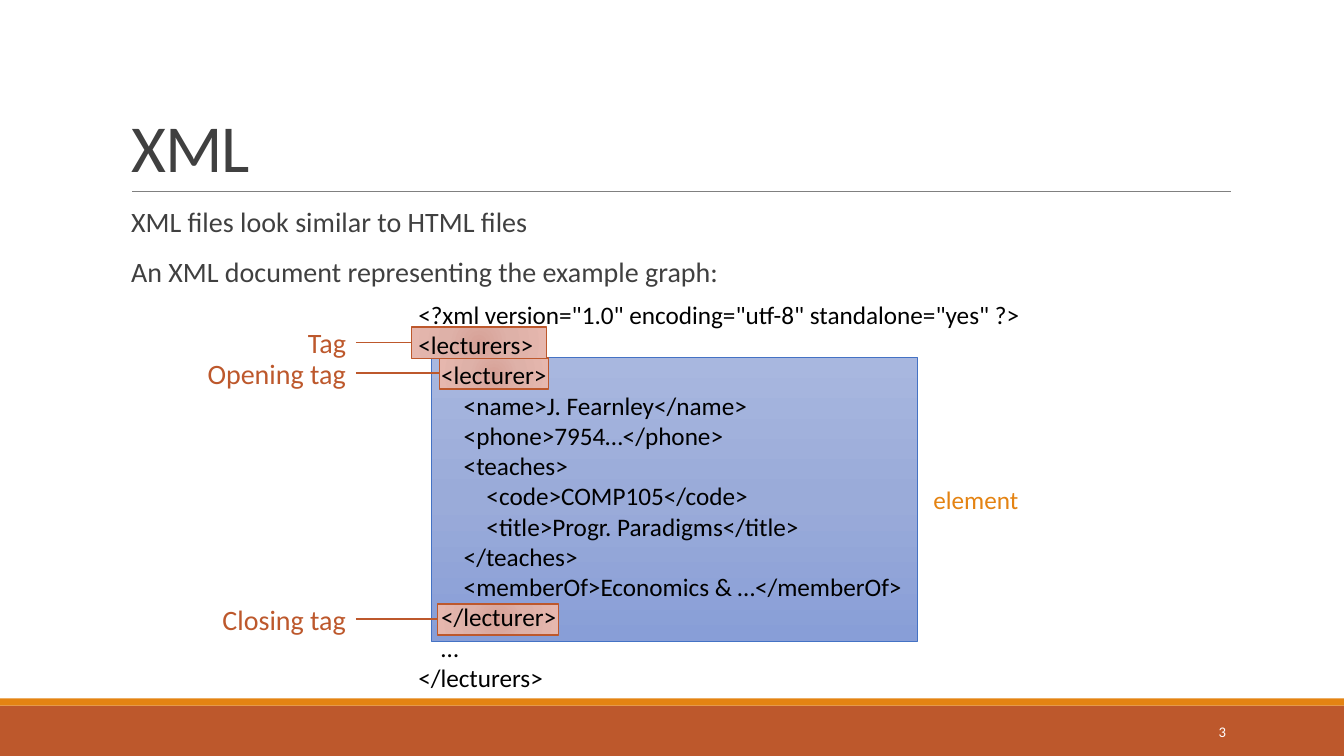
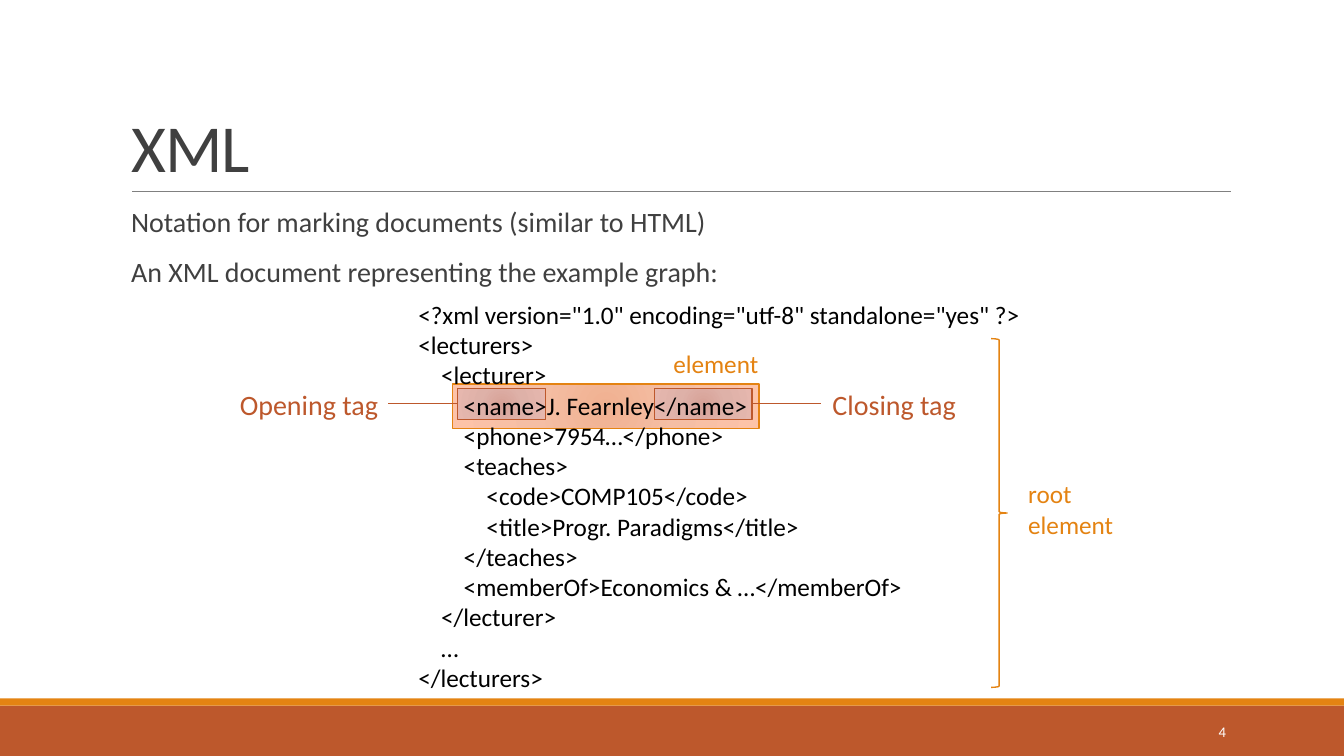
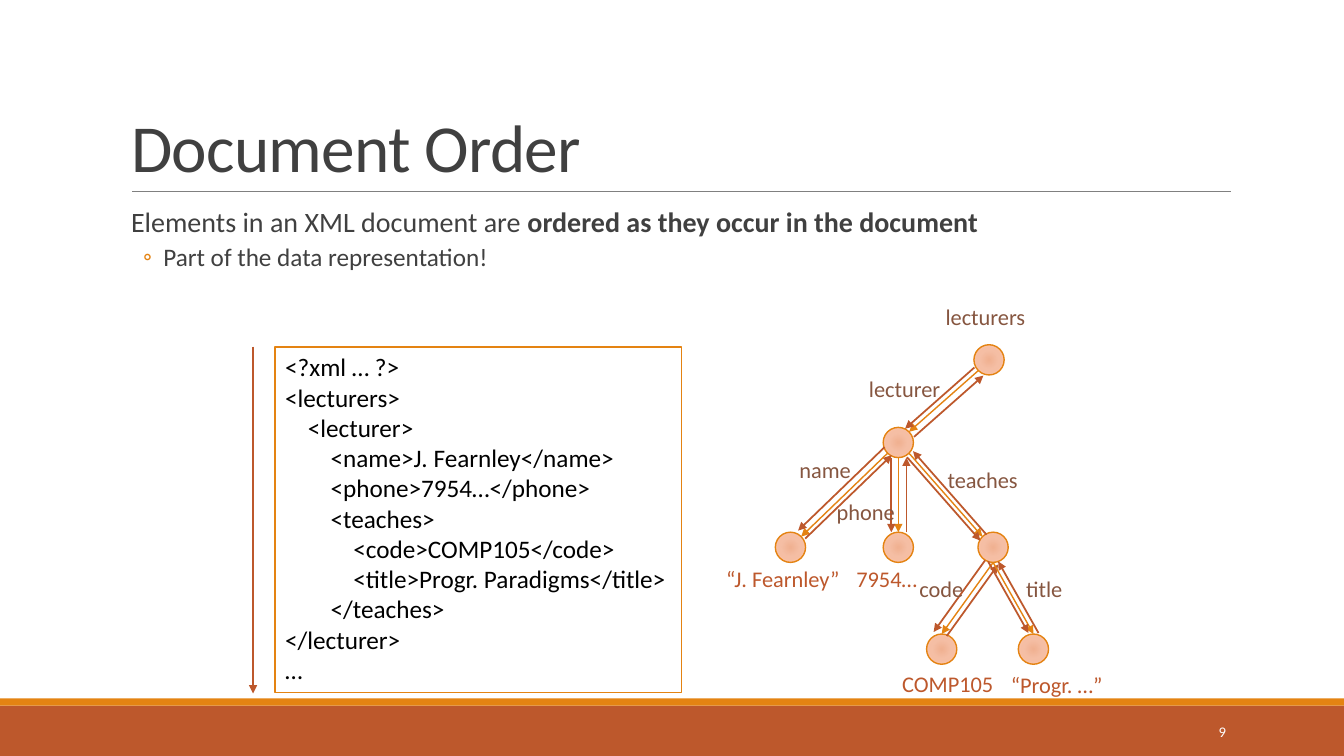
"""Build three slides on XML markup and document order."""
from math import cos, radians, sin

from lxml import etree
from pptx import Presentation
from pptx.dml.color import RGBColor
from pptx.enum.shapes import MSO_CONNECTOR, MSO_SHAPE
from pptx.enum.text import MSO_ANCHOR, MSO_AUTO_SIZE, PP_ALIGN
from pptx.oxml.ns import qn
from pptx.util import Inches, Pt

LEFT, MID, RIGHT = PP_ALIGN.LEFT, PP_ALIGN.CENTER, PP_ALIGN.RIGHT
RECT, OVAL, BRACE = MSO_SHAPE.RECTANGLE, MSO_SHAPE.OVAL, MSO_SHAPE.RIGHT_BRACE
LINE = MSO_CONNECTOR.STRAIGHT
FIT, FIXED = MSO_AUTO_SIZE.SHAPE_TO_FIT_TEXT, MSO_AUTO_SIZE.NONE
BOTTOM, CENTER = MSO_ANCHOR.BOTTOM, MSO_ANCHOR.MIDDLE

FONT = "Calibri"
INK = {
    "rust": "BD582C", "gold": "E48312", "rule": "808080", "dark": "404040",
    "brown": "865640", "blue": "4472C4", "white": "FFFFFF", "black": "000000",
}
FADE = {
    "rust": ((0, "D7A197"), (45, "DEB1A8"), (100, "E6B7AE")),
    "gold": ((0, "F0B191"), (45, "F5BEA4"), (100, "FDC3A8")),
    "blue": ((0, "A8B7DF"), (50, "9AABD9"), (100, "889ED7")),
}
ROW = 0.305
CODE = (4.05, 2.92)
RECORD = [
    "    <lecturer>",
    "        <name>J. Fearnley</name>",
    "        <phone>7954…</phone>",
    "        <teaches>",
    "            <code>COMP105</code>",
    "            <title>Progr. Paradigms</title>",
    "        </teaches>",
]
FULL = [
    '<?xml version="1.0" encoding="utf-8" standalone="yes" ?>',
    "<lecturers>",
    *RECORD,
    "        <memberOf>Economics & …</memberOf>",
    "    </lecturer>",
    "    …",
    "</lecturers>",
]
SHORT = ["<?xml … ?>", "<lecturers>", *RECORD, "</lecturer>", "…"]

NODES = {
    "root": (2.71, 0.61), "person": (1.81, 1.43), "name": (0.74, 2.47),
    "phone": (1.81, 2.47), "teaches": (2.75, 2.47),
    "code": (2.24, 3.48), "title": (3.15, 3.48),
}
EDGES = [
    ("root", "person", 135, (-0.04, -0.03), (0.05, 0.05)),
    ("person", "name", 135, (-0.03, -0.06), (0.04, 0.02)),
    ("person", "phone", 90, (-0.07, 0), (0.08, 0)),
    ("person", "teaches", 45, (-0.02, 0.04), (0.04, -0.02)),
    ("teaches", "code", 90, (-0.08, -0.02), (0.05, 0.02)),
    ("teaches", "title", 90, (-0.05, -0.01), (0.05, -0.01)),
]
NAMES = [
    ("lecturers", 2.18, 0, 1), ("lecturer", 1.42, 0.71, 0.92),
    ("name", 0.73, 1.52, 0.72), ("phone", 1.1, 1.93, 0.79),
    ("teaches", 2.2, 1.62, 0.91), ("code", 1.92, 2.7, 0.64),
    ("title", 2.98, 2.7, 0.57),
]
VALUES = [
    ("7954…", 1.28, 2.6, 0.83), ("“J. Fearnley”", 0, 2.6, 1.33),
    ("COMP105", 1.74, 3.64, 1.12), ("“Progr. …”", 2.82, 3.65, 1.12),
]


def rgb(name):
    """Look up a palette colour."""
    return RGBColor.from_string(INK[name])


def write(para, words, size, color, bold=False):
    """Add one run to a paragraph."""
    run = para.add_run()
    run.text = words
    font = run.font
    font.name, font.size, font.bold = FONT, Pt(size), bold
    font.color.rgb = rgb(color)
    return run


def text(slide, box, lines, size, color, align=LEFT):
    """Add an unwrapped text box with one paragraph a line."""
    shape = slide.shapes.add_textbox(*map(Inches, box))
    frame = shape.text_frame
    frame.word_wrap = False
    frame.auto_size = FIT
    for i, words in enumerate(lines):
        para = frame.add_paragraph() if i else frame.paragraphs[0]
        para.alignment = align
        write(para, words, size, color)
    return shape


def draw(slide, kind, box, fill=None, line=None, width=1):
    """Add a preset shape with a plain fill or none."""
    shape = slide.shapes.add_shape(kind, *map(Inches, box))
    shape.shadow.inherit = False
    if fill:
        shape.fill.solid()
        shape.fill.fore_color.rgb = rgb(fill)
    else:
        shape.fill.background()
    if line:
        shape.line.color.rgb = rgb(line)
        shape.line.width = Pt(width)
    else:
        shape.line.fill.background()
    return shape


def fade(slide, kind, box, color, width=1):
    """Add a shape filled with one of the gradients."""
    shape = draw(slide, kind, box, None, color, width)
    shape.fill.gradient()
    grad = shape._element.spPr.find(qn("a:gradFill"))
    for child in list(grad):
        grad.remove(child)
    stops = etree.SubElement(grad, qn("a:gsLst"))
    for pos, tint in FADE[color]:
        stop = etree.SubElement(stops, qn("a:gs"), pos=str(pos * 1000))
        etree.SubElement(stop, qn("a:srgbClr"), val=tint)
    if color == "blue":
        etree.SubElement(grad, qn("a:lin"), ang="5400000", scaled="0")
    else:
        way = etree.SubElement(grad, qn("a:path"), path="circle")
        sides = dict.fromkeys("ltrb", "100000")
        etree.SubElement(way, qn("a:fillToRect"), **sides)
    return shape


def link(slide, start, end, color="rust", width=1, arrow=False):
    """Add a straight line, with an arrowhead at its end if asked."""
    line = slide.shapes.add_connector(LINE, *map(Inches, (*start, *end)))
    line.line.color.rgb = rgb(color)
    line.line.width = Pt(width)
    if arrow:
        etree.SubElement(line.line._get_or_add_ln(), qn("a:tailEnd"), type="triangle")
    etree.SubElement(line._element.spPr, qn("a:effectLst"))


def base(deck, title, page):
    """Start a slide with its bands, rule, title and page number."""
    slide = deck.slides.add_slide(deck.slide_layouts[5])
    draw(slide, RECT, (0, 7, 13.33, 0.5), "rust")
    draw(slide, RECT, (0, 6.93, 13.33, 0.07), "gold")
    link(slide, (1.31, 1.9), (12.21, 1.9), "rule", 0.5)
    head = slide.shapes.title
    head.left, head.top, head.width, head.height = map(Inches, (1.2, 0.31, 11, 1.59))
    frame = head.text_frame
    frame.vertical_anchor = BOTTOM
    frame.auto_size = FIXED
    para = frame.paragraphs[0]
    para.alignment = LEFT
    para.line_spacing = 0.85
    run = write(para, title, 48, "dark")
    run.font._element.set("spc", "-50")
    num = text(slide, (10.83, 7.06, 1.43, 0.4), [str(page)], 10.5, "white", RIGHT)
    num.text_frame.word_wrap = True
    num.text_frame.auto_size = FIXED
    num.text_frame.vertical_anchor = CENTER
    return slide


def body(slide, box, paras):
    """Add the body text, given as (level, runs) pairs."""
    frame = slide.shapes.add_textbox(*map(Inches, box)).text_frame
    frame.word_wrap = True
    frame.margin_left = frame.margin_right = 0
    for i, (level, runs) in enumerate(paras):
        para = frame.add_paragraph() if i else frame.paragraphs[0]
        props = para._p.get_or_add_pPr()
        props.set("marL", str(Inches(0.42 if level else 0.1)))
        if level:
            props.set("indent", str(Inches(-0.2)))
            tint = etree.SubElement(props, qn("a:buClr"))
            etree.SubElement(tint, qn("a:srgbClr"), val=INK["gold"])
            etree.SubElement(props, qn("a:buFont"), typeface=FONT)
            etree.SubElement(props, qn("a:buChar"), char="◦")
        para.line_spacing = 0.9
        if i:
            para.space_before = Pt(2 if level else 12)
        para.space_after = Pt(4 if level else 2)
        for words, bold in runs:
            write(para, words, 18 if level else 20, "dark", bold)


def tag(slide, spot, name, row, mark, label):
    """Mark part of a code row and join it to its label."""
    left, top = spot[0], spot[1] + 0.02 + ROW * row
    (mx, mw), (lx, lw) = mark, label
    fade(slide, RECT, (left + mx, top, mw, 0.31), "rust")
    text(slide, (left + lx, top - 0.06, lw, 0.44), [name], 20, "rust", RIGHT)
    start, end = (lx + lw, mx) if lx < mx else (mx + mw, lx)
    link(slide, (left + start, top + 0.15), (left + end, top + 0.15))


def note(slide, spot, x, y, lines):
    """Add a gold label beside the code."""
    box = (spot[0] + x, spot[1] + y, 1.06, 0.1 + 0.3 * len(lines))
    text(slide, box, lines, 18, "gold")


def sample(slide, spot, part, tags):
    """Place the full code over its marked element and tags."""
    x, y, w, h, color, width = part
    fade(slide, RECT, (spot[0] + x, spot[1] + y, w, h), color, width)
    for item in tags:
        tag(slide, spot, *item)
    text(slide, (*spot, 6.25, 4.04), FULL, 18, "black")


def intro(deck, page, first):
    """Start an XML slide with its two opening lines."""
    slide = base(deck, "XML", page)
    second = "An XML document representing the example graph:"
    body(slide, (1.2, 2.02, 11, 4.4), [(0, [(first, False)]), (0, [(second, False)])])
    return slide


def tags(deck):
    """Build the slide on tags and a nested element."""
    slide = intro(deck, 3, "XML files look similar to HTML files")
    sample(slide, CODE, (0.23, 0.63, 4.82, 2.81, "blue", 0.5), [
        ("Closing tag", 10, (0.29, 1.2), (-1.96, 1.44)),
        ("Opening tag", 2, (0.31, 1.08), (-2.11, 1.59)),
        ("Tag", 1, (0.03, 1.34), (-1.1, 0.58)),
    ])
    note(slide, CODE, 5.11, 1.84, ["element"])


def root(deck):
    """Build the slide on a leaf element and the root."""
    slide = intro(deck, 4, "Notation for marking documents (similar to HTML)")
    sample(slide, CODE, (0.44, 0.89, 3.04, 0.44, "gold", 1), [
        ("Closing tag", 3, (2.44, 0.97), (4.09, 1.44)),
        ("Opening tag", 3, (0.49, 0.87), (-1.79, 1.59)),
    ])
    note(slide, CODE, 2.53, 0.49, ["element"])
    draw(slide, BRACE, (CODE[0] + 5.78, CODE[1] + 0.44, 0.16, 3.46), None, "gold")
    note(slide, CODE, 6.05, 1.78, ["root", "element"])


def tree(slide, left, top):
    """Draw the node tree with its paths and labels."""
    rad = 0.15
    for x, y in NODES.values():
        fade(slide, OVAL, (left + x - rad, top + y - rad, 2 * rad, 2 * rad), "gold")
    for above, below, angle, down, up in EDGES:
        dx, dy = rad * cos(radians(angle)), rad * sin(radians(angle))
        (ax, ay), (bx, by) = NODES[above], NODES[below]
        start = (left + ax + dx, top + ay + dy)
        end = (left + bx - dx, top + by - dy)
        link(slide, start, end, "gold", 1, True)
        for (sx, sy), (p, q) in ((down, (start, end)), (up, (end, start))):
            link(slide, (p[0] + sx, p[1] + sy), (q[0] + sx, q[1] + sy),
                 "rust", 1.25, True)
    for group, color, align in ((NAMES, "brown", LEFT), (VALUES, "rust", MID)):
        for words, x, y, w in group:
            text(slide, (left + x, top + y, w, 0.37), [words], 16, color, align)


def listing(slide, left, top):
    """Draw the framed code with the reading arrow."""
    box = text(slide, (left + 0.22, top, 4.03, 3.43), SHORT, 18, "black")
    box.fill.solid()
    box.fill.fore_color.rgb = rgb("white")
    box.line.color.rgb = rgb("gold")
    box.line.width = Pt(1.25)
    link(slide, (left, top), (left, top + 3.44), "rust", 1.25, True)


def order(deck):
    """Build the slide on document order."""
    slide = base(deck, "Document Order", 9)
    body(slide, (1.2, 2.02, 11, 4.4), [
        (0, [("Elements in an XML document are ", False),
             ("ordered as they occur in the document", True)]),
        (1, [("Part of the data representation!", False)]),
    ])
    listing(slide, 2.51, 3.44)
    tree(slide, 7.1, 2.96)


def main():
    """Build and save the deck."""
    deck = Presentation()
    deck.slide_width, deck.slide_height = Inches(13.33), Inches(7.5)
    tags(deck)
    root(deck)
    order(deck)
    deck.save("out.pptx")


if __name__ == "__main__":
    main()
